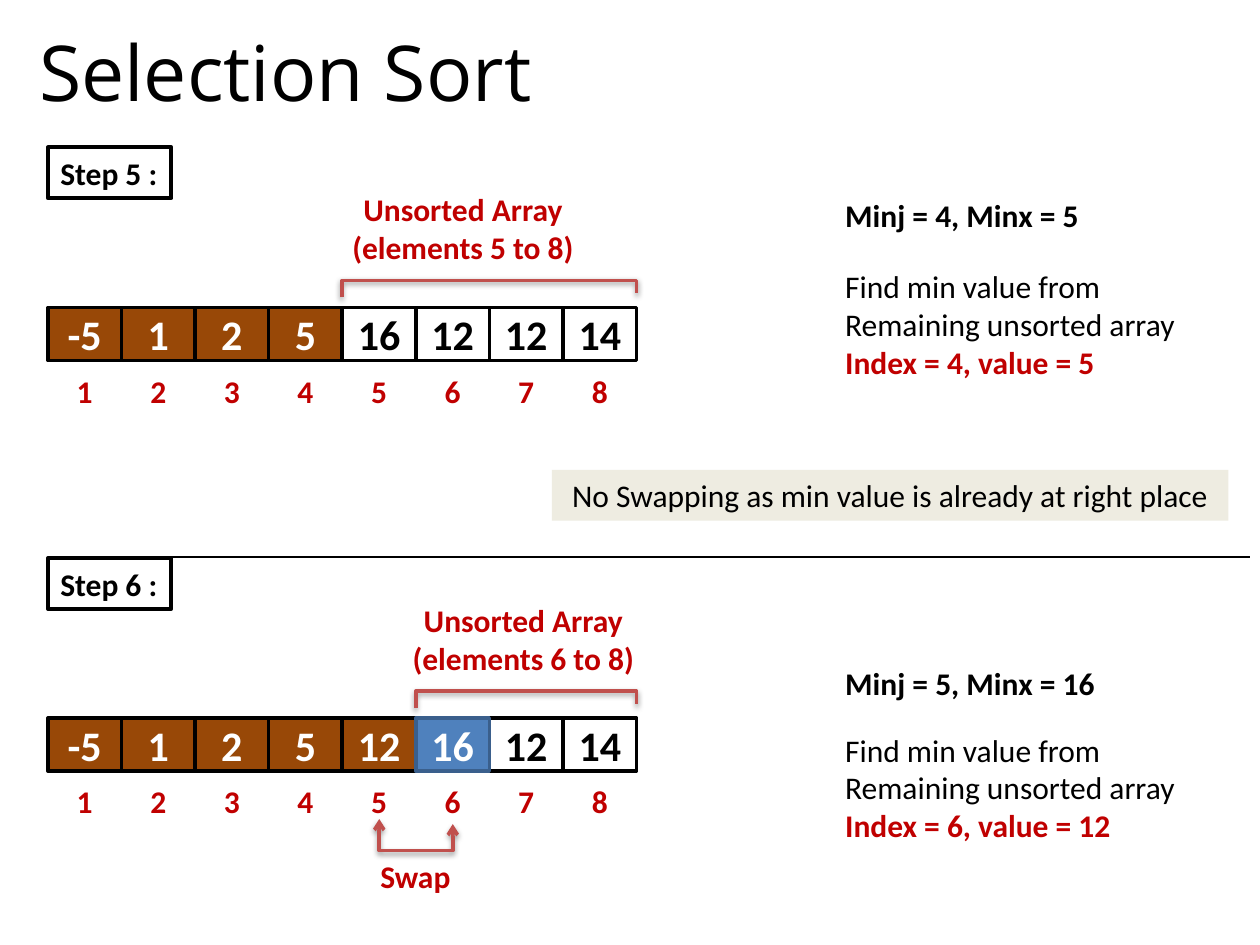
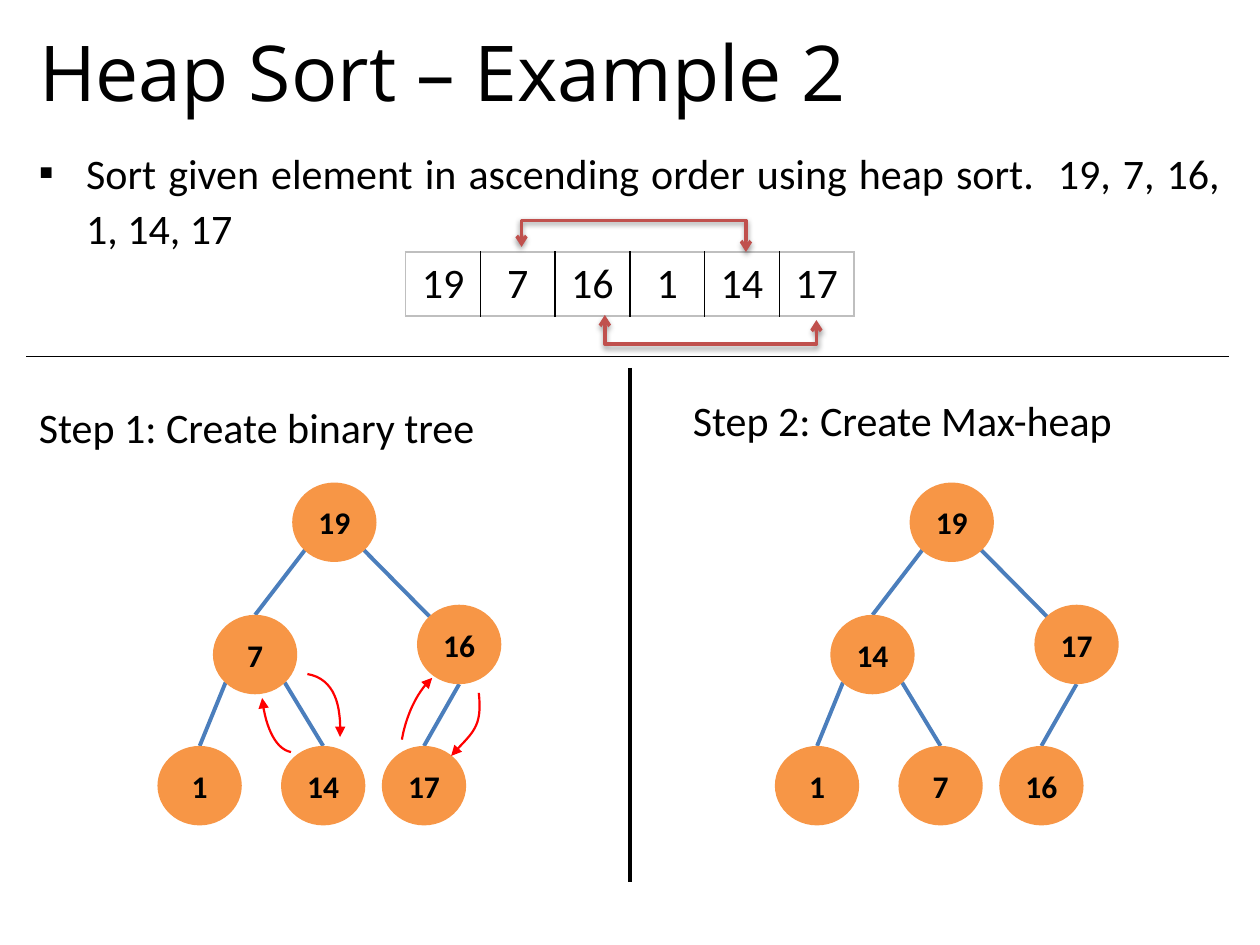
from itertools import pairwise

from lxml.etree import SubElement
from pptx import Presentation
from pptx.dml.color import RGBColor
from pptx.enum.shapes import MSO_CONNECTOR, MSO_SHAPE
from pptx.enum.text import MSO_ANCHOR, PP_ALIGN
from pptx.oxml.ns import qn
from pptx.util import Pt

COLORS = {
    "black": "000000", "white": "FFFFFF", "sorted": "984807", "swapped": "4F81BD",
    "swapped_edge": "3A5F8C", "accent": "C00000", "bracket": "C0504D",
    "note": "EEECE1", "node": "F79646", "edge": "4B7EBC", "exchange": "FF0000",
    "frame": "BFBFBF",
}
BODY_FONT, TITLE_FONT = "Calibri", "Open Sans"
CELL_W, CELL_H = 42.05, 30.24
NODE_W, NODE_H = 48.2, 45.4
NODES = [(77, 0), (31.7, 75.6), (148.3, 69.8), (0, 150.5), (70.6, 150.5), (128.2, 150.5)]
SITES = {"top": (0.5, 0), "bottom": (0.5, 1), "upper_left": (0.15, 0.15),
         "lower_left": (0.15, 0.85), "lower_right": (0.85, 0.85)}
TREE_EDGES = [(0, "lower_left", 1, "top"), (0, "lower_right", 2, "upper_left"),
              (1, "lower_left", 3, "top"), (1, "lower_right", 4, "top"),
              (2, "bottom", 5, "top")]
# Bezier control points, relative to the tree
EXCHANGES = [
    [(76.3, 154), (68.4, 152.6), (61.9, 141.8), (59.8, 123.1)],
    [(85.7, 109.4), (101.5, 112.3), (105.1, 127.4), (104.4, 145.4)],
    [(139.7, 146.9), (141.8, 134.6), (147.6, 120.2), (157, 111.6)],
    [(183.6, 120.2), (185.8, 140.4), (180, 142.6), (167.8, 156.2)],
]


def rgb(name):
    return RGBColor.from_string(COLORS[name])


def add_run(p, text, size=18, color="black", bold=False, font=BODY_FONT):
    r = p.add_run()
    r.text = text
    r.font.size, r.font.bold, r.font.name = Pt(size), bold, font
    r.font.color.rgb = rgb(color)


def write_lines(tf, lines, align=PP_ALIGN.LEFT, size=18):
    """Fill a frame with (text, color, bold) paragraphs."""
    for i, (text, color, bold) in enumerate(lines):
        p = tf.add_paragraph() if i else tf.paragraphs[0]
        p.alignment = align
        add_run(p, text, size, color, bold)


def add_label(slide, box, lines, align=PP_ALIGN.LEFT, size=18, wrap=False):
    tf = slide.shapes.add_textbox(*map(Pt, box)).text_frame
    tf.word_wrap = wrap
    write_lines(tf, lines, align, size)
    return tf


def add_block(slide, box, text, fill=None, line=None, width=2, color="black", size=18,
              bold=True, align=PP_ALIGN.CENTER, kind=MSO_SHAPE.RECTANGLE, wrap=True):
    sp = slide.shapes.add_shape(kind, *map(Pt, box))
    sp.shadow.inherit = False
    if fill:
        sp.fill.solid()
        sp.fill.fore_color.rgb = rgb(fill)
    else:
        sp.fill.background()
    if line:
        sp.line.color.rgb = rgb(line)
        sp.line.width = Pt(width)
    else:
        sp.line.fill.background()
    tf = sp.text_frame
    tf.word_wrap = wrap
    tf.vertical_anchor = MSO_ANCHOR.MIDDLE
    write_lines(tf, [(text, color, bold)], align, size)


def add_line(slide, start, end, color="black", width=0.75):
    ln = slide.shapes.add_connector(MSO_CONNECTOR.STRAIGHT, *map(Pt, (*start, *end)))
    ln.line.color.rgb = rgb(color)
    ln.line.width = Pt(width)
    SubElement(ln._element.spPr, qn("a:effectLst"))


def add_outline(slide, points, color, width, ends=()):
    """Draw an open path; ends holds (headEnd or tailEnd, arrow type) pairs."""
    pts = [(Pt(x), Pt(y)) for x, y in points]
    builder = slide.shapes.build_freeform(*pts[0])
    builder.add_line_segments(pts[1:], close=False)
    sp = builder.convert_to_shape()
    sp.fill.background()
    sp.line.color.rgb = rgb(color)
    sp.line.width = Pt(width)
    for tag, kind in ends:
        SubElement(sp.line._get_or_add_ln(), qn(f"a:{tag}"), type=kind)
    sp.shadow.inherit = False
    return sp


def add_bracket(slide, start, bar_y, end, arrows=False):
    """Draw a shadowed three-sided bracket from start to end by way of bar_y."""
    points = [start, (start[0], bar_y), (end[0], bar_y), end]
    ends = [("headEnd", "arrow"), ("tailEnd", "arrow")] if arrows else []
    sp = add_outline(slide, points, "bracket", 2, ends)
    effects = sp._element.spPr.find(qn("a:effectLst"))
    shadow = SubElement(effects, qn("a:outerShdw"), blurRad="40000", dist="20000",
                        dir="5400000", rotWithShape="0")
    clr = SubElement(shadow, qn("a:srgbClr"), val=COLORS["black"])
    SubElement(clr, qn("a:alpha"), val="38000")


def add_titled_slide(prs, title):
    slide = prs.slides.add_slide(prs.slide_layouts[5])
    sp = slide.shapes.title
    sp.left, sp.top, sp.width, sp.height = map(Pt, (15.12, 8.64, 689.76, 63.36))
    tf = sp.text_frame
    tf.vertical_anchor = MSO_ANCHOR.MIDDLE
    p = tf.paragraphs[0]
    p.alignment = PP_ALIGN.LEFT
    add_run(p, title, 44, font=TITLE_FONT)
    return slide


def add_sort_step(slide, x, y, number, values, sorted_count, label_x, minimum, found,
                  note_ys, swapped=None):
    """Draw one step; swapped is the position of the element just moved out."""
    add_block(slide, (x, y, 70.6, 29), f"Step {number} :", line="black", width=2.25,
              align=PP_ALIGN.LEFT, wrap=False)

    for i in range(len(values)):
        add_block(slide, (x + i * CELL_W, y + 123.84, CELL_W, CELL_H), str(i + 1),
                  fill="white", color="accent")
    for i in sorted(range(len(values)), key=lambda i: i == swapped):
        fill, line, color = "white", "black", "black"
        if i == swapped:
            fill, line, color = "swapped", "swapped_edge", "white"
        elif i < sorted_count:
            fill, color = "sorted", "white"
        add_block(slide, (x + i * CELL_W, y + 91.44, CELL_W, CELL_H), str(values[i]),
                  fill, line, color=color, size=24)

    first = number - 1
    left, right = x + first * CELL_W, x + len(values) * CELL_W
    add_bracket(slide, (left, y + 85.7), y + 76, (right, y + 83.5))
    add_label(slide, (label_x, y + 21, 141.8, 51),
              [("Unsorted Array", "accent", True),
               (f"(elements {number} to {len(values)})", "accent", True)],
              PP_ALIGN.CENTER)

    note_x = x + 448.56
    add_label(slide, (note_x, y + note_ys[0], 160, 29), [(minimum, "black", True)])
    add_label(slide, (note_x, y + note_ys[1], 205, 72.7),
              [("Find min value from", "black", False),
               ("Remaining unsorted array", "black", False), (found, "accent", True)])


def add_swap(slide, x, y):
    add_bracket(slide, (x, y), y + 18, (x + CELL_W, y + 2.9), arrows=True)
    add_label(slide, (x - 15, y + 18, 71.3, 29), [("Swap", "accent", True)],
              PP_ALIGN.CENTER, wrap=True)


def build_selection_sort(prs):
    slide = add_titled_slide(prs, "Selection Sort")
    x = 27.36
    add_sort_step(slide, x, 84.24, 5, [-5, 1, 2, 5, 16, 12, 12, 14], 4, 193.7,
                  "Minj = 4, Minx = 5", "Index = 4, value = 5", (24.5, 64.8))
    add_block(slide, (315.36, 268.56, 386.6, 29),
              "No Swapping as min value is already at right place",
              fill="note", bold=False, wrap=False)
    add_line(slide, (x, 318.24), (714.24, 318.24))
    add_sort_step(slide, x, 318.96, 6, [-5, 1, 2, 5, 12, 16, 12, 14], 5, 228.2,
                  "Minj = 5, Minx = 16", "Index = 6, value = 12", (57, 95), swapped=5)
    add_swap(slide, 216.7, 468)


def set_border(cell, side, color, width):
    ln = SubElement(cell._tc.get_or_add_tcPr(), qn(f"a:{side}"), w=str(Pt(width)))
    fill = SubElement(ln, qn("a:solidFill"))
    SubElement(fill, qn("a:srgbClr"), val=COLORS[color])


def add_element_table(slide, x, y, values):
    width = 256.3
    frame = slide.shapes.add_table(1, len(values), Pt(x), Pt(y), Pt(width), Pt(36.6))
    table = frame.table
    table.first_row = table.horz_banding = False
    last = len(values) - 1
    for i, value in enumerate(values):
        table.columns[i].width = Pt(width / len(values))
        cell = table.cell(0, i)
        set_border(cell, "lnL", "black" if i else "frame", 1)
        set_border(cell, "lnR", "black" if i < last else "frame", 1)
        for side in ("lnT", "lnB"):
            set_border(cell, side, "frame", 1)
        cell.fill.background()
        write_lines(cell.text_frame, [(str(value), "black", False)], PP_ALIGN.CENTER, 24)
    add_bracket(slide, (x + 298.1 - 103.7, y), y - 18, (x + 66.2, y - 2.9), arrows=True)
    add_bracket(slide, (x + 113.8, y + 36), y + 52.6, (x + 234.7, y + 38.9), arrows=True)


def add_task(slide, box, text):
    tf = add_label(slide, box, [], wrap=True)
    p = tf.paragraphs[0]
    p.alignment, p.line_spacing = PP_ALIGN.JUSTIFY, 1.1
    pPr = p._p.get_or_add_pPr()
    pPr.set("marL", str(Pt(27)))
    pPr.set("indent", str(-Pt(27)))
    SubElement(pPr, qn("a:buFont"), typeface="Wingdings")
    pPr[-1].set("typeface", BODY_FONT)
    SubElement(pPr, qn("a:buChar"), char="▪")
    add_run(p, text, 24)


def add_tree(slide, x, y, values):
    def site(node, name):
        (left, top), (fx, fy) = NODES[node], SITES[name]
        return x + left + fx * NODE_W, y + top + fy * NODE_H

    for parent, start, child, end in TREE_EDGES:
        add_line(slide, site(parent, start), site(child, end), "edge", 2.25)
    for (left, top), value in zip(NODES, values):
        add_block(slide, (x + left, y + top, NODE_W, NODE_H), str(value), fill="node",
                  kind=MSO_SHAPE.OVAL)


def bezier(controls, steps=16):
    for k in range(steps + 1):
        pts, t = controls, k / steps
        while len(pts) > 1:
            pts = [(a + (c - a) * t, b + (d - b) * t) for (a, b), (c, d) in pairwise(pts)]
        yield pts[0]


def add_exchanges(slide, x, y):
    for controls in EXCHANGES:
        points = [(x + px, y + py) for px, py in bezier(controls)]
        add_outline(slide, points, "exchange", 1.25, [("tailEnd", "triangle")])


def build_heap_sort(prs):
    slide = add_titled_slide(prs, "Heap Sort – Example 2")
    add_task(slide, (15.12, 77.76, 689.76, 72),
             "Sort given element in ascending order using heap sort.  19, 7, 16, 1, 14, 17")
    add_element_table(slide, 231.84, 144, [19, 7, 16, 1, 14, 17])
    add_line(slide, (15.12, 203.76), (702, 203.76))
    add_line(slide, (360, 210.24), (360, 504), width=2.25)

    steps = [(15.12, 226, "Step 1: Create binary tree"),
             (388.8, 221.76, "Step 2: Create Max-heap")]
    for x, y, text in steps:
        add_label(slide, (x, y, 275.8, 36), [(text, "black", False)], size=24, wrap=True)
    add_tree(slide, 90, 275.76, [19, 7, 16, 1, 14, 17])
    add_exchanges(slide, 90, 275.76)
    add_tree(slide, 442.8, 275.76, [19, 14, 17, 1, 7, 16])


def main():
    prs = Presentation()
    prs.slide_width, prs.slide_height = Pt(720), Pt(540)
    build_selection_sort(prs)
    build_heap_sort(prs)
    prs.save("out.pptx")


if __name__ == "__main__":
    main()
